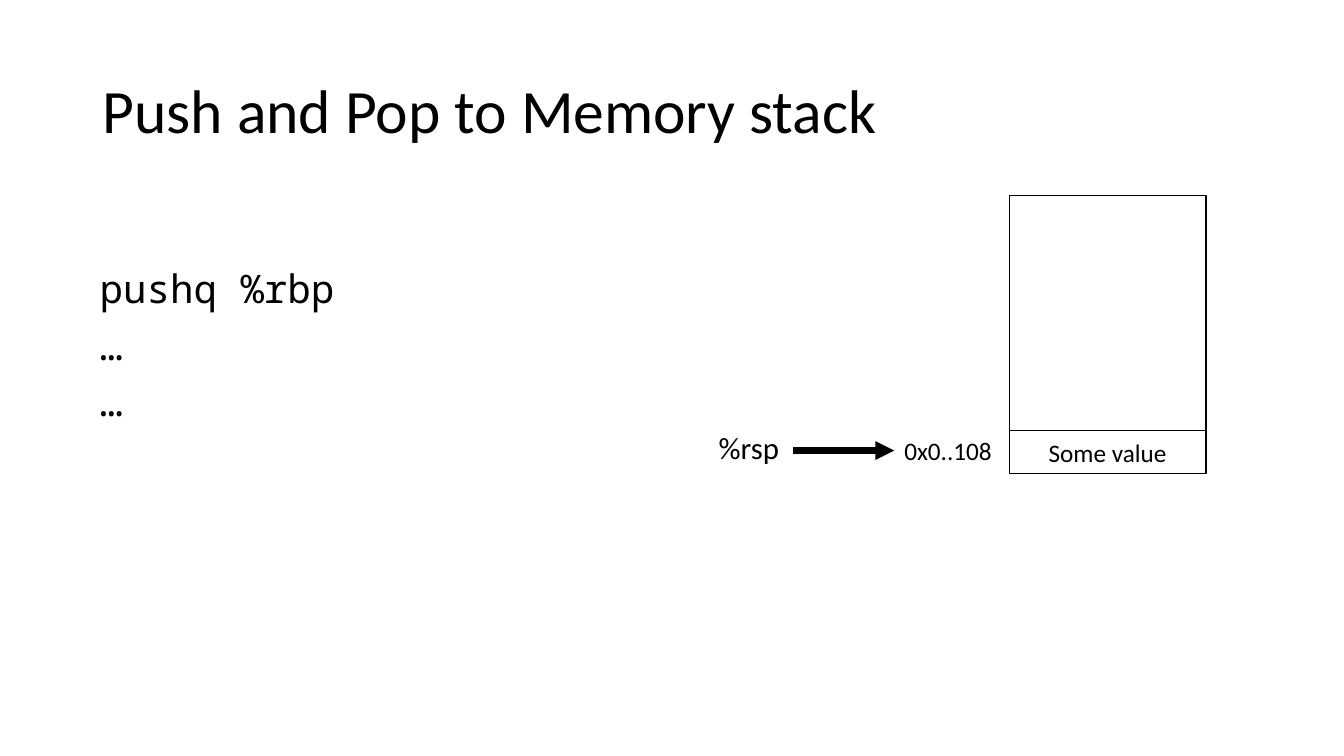
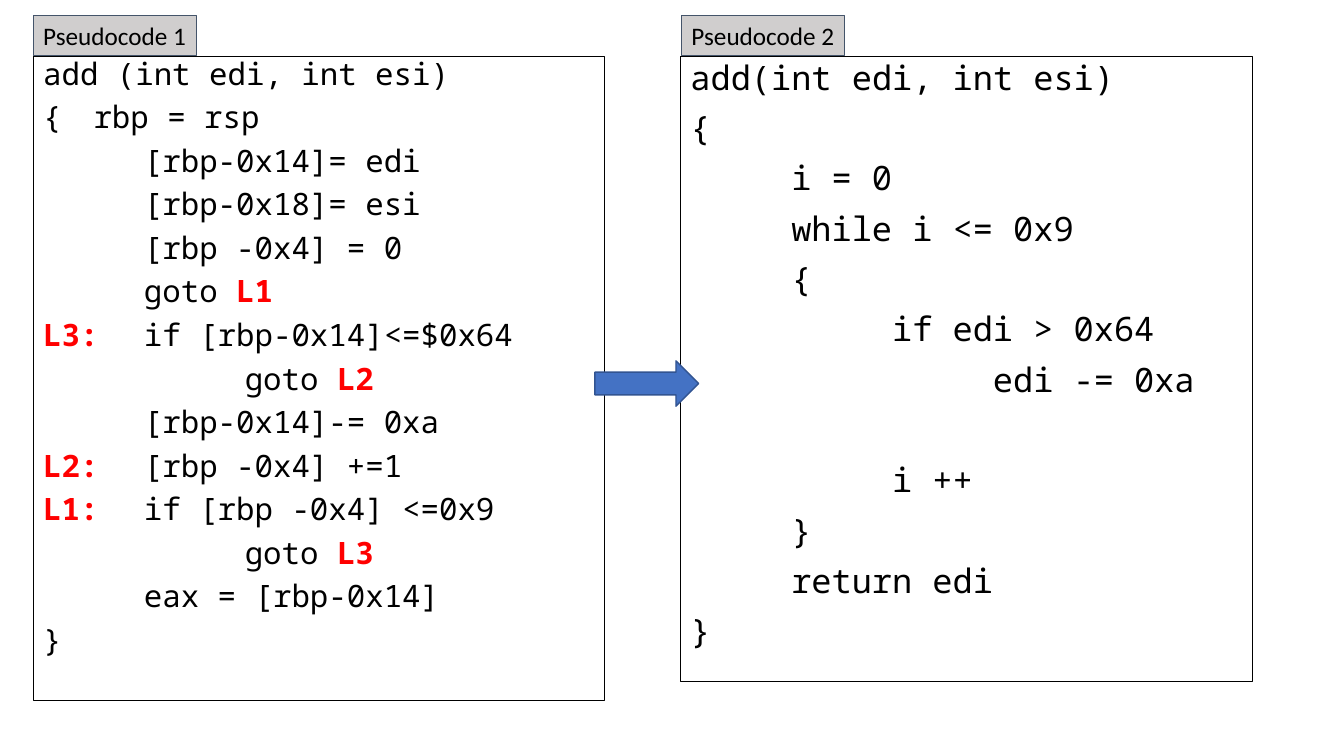
from pptx import Presentation
from pptx.dml.color import RGBColor as RGB
from pptx.enum.shapes import MSO_CONNECTOR as Link, MSO_SHAPE as Kind
from pptx.enum.text import MSO_ANCHOR as Anchor, PP_ALIGN as Align
from pptx.oxml.ns import qn
from pptx.util import Pt
from lxml.etree import SubElement as Sub

PX = 9144
BLACK = RGB(0, 0, 0)
WHITE = RGB(255, 255, 255)
RED = RGB(255, 0, 0)
BLUE = RGB(0x44, 0x72, 0xC4)
NAVY = RGB(0x32, 0x54, 0x91)
GREY = RGB(0xD0, 0xCE, 0xCE)
SLATE = RGB(0x44, 0x54, 0x6A)
SANS = "Calibri"
MONO = "Noto Sans Mono"
TAB = 100
MARK = 110

STACK = "pushq %rbp\n…\n…"

JUMPS = """add (int edi, int esi)
{\trbp = rsp
\t[rbp-0x14]= edi
\t[rbp-0x18]= esi
\t[rbp -0x4] = 0
\tgoto *L1*
*L3:*\tif [rbp-0x14]<=$0x64
\t\tgoto *L2*
\t[rbp-0x14]-= 0xa
*L2:*\t[rbp -0x4] +=1
*L1:*\tif [rbp -0x4] <=0x9
\t\tgoto *L3*
\teax = [rbp-0x14]
}"""

LOOP = """add(int edi, int esi)
{
\ti = 0
\twhile i <= 0x9
\t{
\t\tif edi > 0x64
\t\t\tedi -= 0xa

\t\ti ++
\t}
\treturn edi
}"""


def write(shape, text, size=18, font=SANS, align=Align.LEFT, anchor=Anchor.TOP,
          lead=None, gap=0, skip=36, wrap=True):
    frame = shape.text_frame
    frame.word_wrap = wrap
    frame.vertical_anchor = anchor
    fresh, extra = True, 0
    for line in text.split("\n"):
        if not line:
            extra = skip
            continue
        para = frame.paragraphs[0] if fresh else frame.add_paragraph()
        para.alignment = align
        para.line_spacing = lead
        para.space_before = Pt(gap + extra)
        fresh, extra = False, 0
        body = line.lstrip("\t")
        props = para._p.get_or_add_pPr()
        props.set("marL", str((len(line) - len(body)) * TAB * PX))
        props.set("indent", "0")
        if body.startswith("*"):
            stops = Sub(props, qn("a:tabLst"))
            Sub(stops, qn("a:tab"), pos=str(MARK * PX), algn="l")
        for i, part in enumerate(body.split("*")):
            if part:
                run = para.add_run()
                run.text = part
                run.font.size = Pt(size)
                run.font.name = font
                run.font.bold = i % 2 == 1
                run.font.color.rgb = RED if i % 2 else BLACK


class Deck:
    def __init__(self):
        self.file = Presentation()
        self.file.slide_width = 1333 * PX
        self.file.slide_height = 750 * PX
        self.slide = None

    def page(self):
        self.slide = self.file.slides.add_slide(self.file.slide_layouts[6])

    def text(self, x, y, w, h, words, **style):
        box = self.slide.shapes.add_textbox(x * PX, y * PX, w * PX, h * PX)
        write(box, words, **style)
        return box

    def shape(self, x, y, w, h, kind=Kind.RECTANGLE, fill=None, line=BLACK,
              width=1, words="", **style):
        item = self.slide.shapes.add_shape(kind, x * PX, y * PX, w * PX, h * PX)
        item.shadow.inherit = False
        if fill is None:
            item.fill.background()
        else:
            item.fill.solid()
            item.fill.fore_color.rgb = fill
        item.line.color.rgb = line
        item.line.width = Pt(width)
        write(item, words, **style)
        return item

    def title(self, words):
        self.text(92, 40, 1150, 145, words, size=44, anchor=Anchor.MIDDLE, lead=0.9)

    def arrow(self, x, y, goal):
        link = self.slide.shapes.add_connector(Link.STRAIGHT, x * PX, y * PX,
                                               goal.left, y * PX)
        link.end_connect(goal, 1)
        link.line.color.rgb = BLACK
        link.line.width = Pt(4.5)
        Sub(link.line._get_or_add_ln(), qn("a:tailEnd"), type="triangle")
        Sub(link._element.spPr, qn("a:effectLst"))

    def code(self, x, h, words, **style):
        self.shape(x, 56, 567, h, width=0.75, words=words, font=MONO, gap=10, **style)

    def label(self, x, words):
        self.shape(x, 15, 162, 40, fill=GREY, line=SLATE, width=0.75,
                   words=words, wrap=False)


def main():
    deck = Deck()

    deck.page()
    deck.title("Push and Pop to Memory stack")
    deck.text(89, 263, 567, 419, STACK, size=28, font=MONO, lead=0.9, gap=10)
    deck.shape(1001, 194, 195, 233, fill=WHITE)
    deck.shape(1001, 427, 195, 43, fill=WHITE, words="Some value",
               align=Align.CENTER, anchor=Anchor.MIDDLE)
    deck.text(703, 420, 89, 47, "%rsp", size=22)
    spot = deck.text(887, 427, 111, 40, "0x0..108")
    deck.arrow(787, 447, spot)

    deck.page()
    deck.code(675, 620, LOOP, size=24, lead=0.9)
    deck.code(33, 639, JUMPS, size=22, lead=0.8)
    deck.shape(590, 358, 103, 45, Kind.RIGHT_ARROW, fill=BLUE, line=NAVY)
    deck.label(33, "Pseudocode 1")
    deck.label(676, "Pseudocode 2")

    deck.file.save("out.pptx")


if __name__ == "__main__":
    main()
